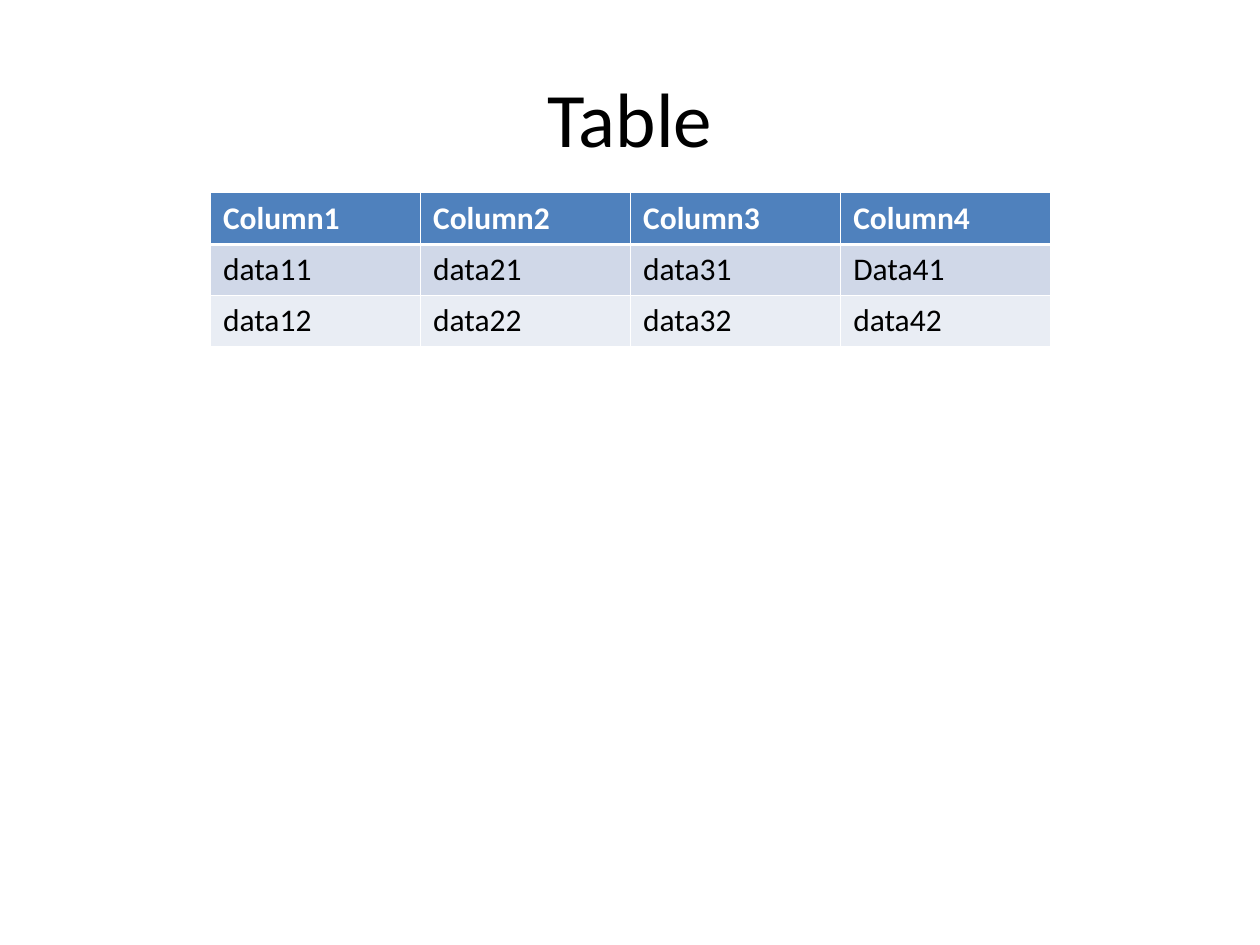
from lxml.etree import SubElement
from pptx import Presentation
from pptx.dml.color import RGBColor
from pptx.enum.text import MSO_ANCHOR, PP_ALIGN
from pptx.oxml.ns import qn
from pptx.util import Inches, Pt

WHITE = RGBColor(0xFF, 0xFF, 0xFF)
BLACK = RGBColor(0, 0, 0)
BLUE = RGBColor(0x4F, 0x81, 0xBD)
MIST = RGBColor(0xD0, 0xD8, 0xE8)
PALE = RGBColor(0xE9, 0xED, 0xF4)

TITLE = "Table"
ROWS = [
    ["Column1", "Column2", "Column3", "Column4"],
    ["data11", "data21", "data31", "Data41"],
    ["data12", "data22", "data32", "data42"],
]
FILLS = [BLUE, MIST, PALE]
HIGHS = [0.41, 0.4, 0.41]
WIDE = 6.67
THIN, THICK = Pt(0.45), Pt(1.47)

HEAD = {"name": "Calibri", "size": Pt(44), "bold": False, "color": BLACK}
LABEL = {"name": "Calibri", "size": Pt(18), "bold": True, "color": WHITE}
DATA = {**LABEL, "bold": False, "color": BLACK}


def write(frame, text, form):
    run = frame.paragraphs[0].add_run()
    run.text = text
    for key, value in form.items():
        if key == "color":
            run.font.color.rgb = value
        else:
            setattr(run.font, key, value)


def edge(cell, sides):
    props = cell._tc.get_or_add_tcPr()
    for side, width in sides.items():
        line = SubElement(props, qn(f"a:ln{side}"), w=str(int(width)))
        fill = SubElement(line, qn("a:solidFill"))
        SubElement(fill, qn("a:srgbClr"), val=str(WHITE))


def add_title(slide):
    box = slide.shapes.add_textbox(Inches(0.5), Inches(0.3), Inches(9), Inches(1.25))
    frame = box.text_frame
    frame.word_wrap = True
    frame.vertical_anchor = MSO_ANCHOR.MIDDLE
    write(frame, TITLE, HEAD)
    frame.paragraphs[0].alignment = PP_ALIGN.CENTER


def add_grid(slide):
    count = len(ROWS[0])
    grid = slide.shapes.add_table(
        len(ROWS), count, Inches(1.67), Inches(1.53), Inches(WIDE), Inches(sum(HIGHS))
    ).table
    for col in grid.columns:
        col.width = Inches(WIDE / count)
    for r, (row, fill, high) in enumerate(zip(ROWS, FILLS, HIGHS)):
        grid.rows[r].height = Inches(high)
        sides = {
            "L": THIN,
            "R": THIN,
            "T": THICK if r == 1 else THIN,
            "B": THICK if r == 0 else THIN,
        }
        for c, text in enumerate(row):
            cell = grid.cell(r, c)
            edge(cell, sides)
            cell.fill.solid()
            cell.fill.fore_color.rgb = fill
            write(cell.text_frame, text, DATA if r else LABEL)


def main():
    deck = Presentation()
    deck.slide_width, deck.slide_height = Inches(10), Inches(7.5)
    slide = deck.slides.add_slide(deck.slide_layouts[6])
    add_title(slide)
    add_grid(slide)
    deck.save("out.pptx")


if __name__ == "__main__":
    main()
